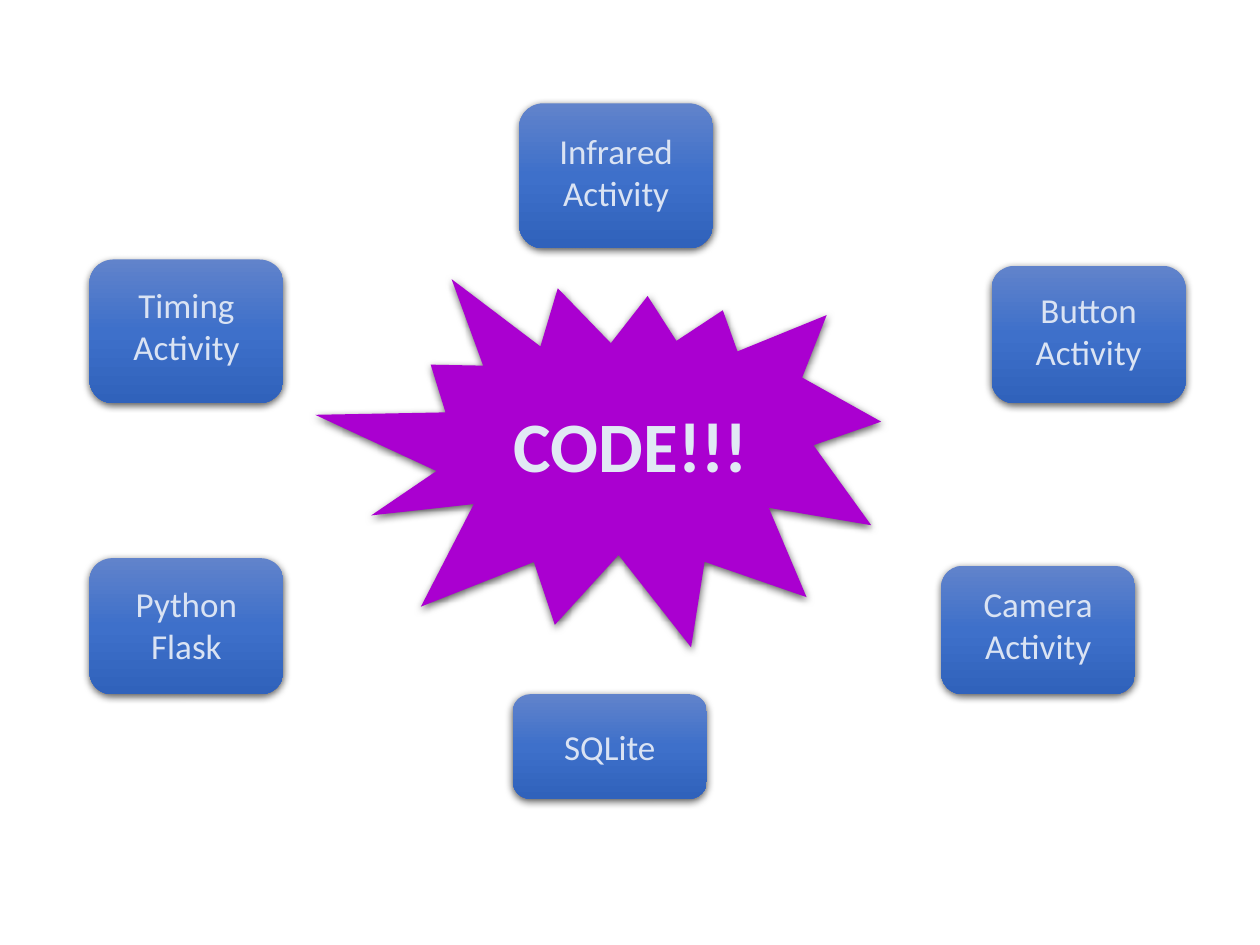
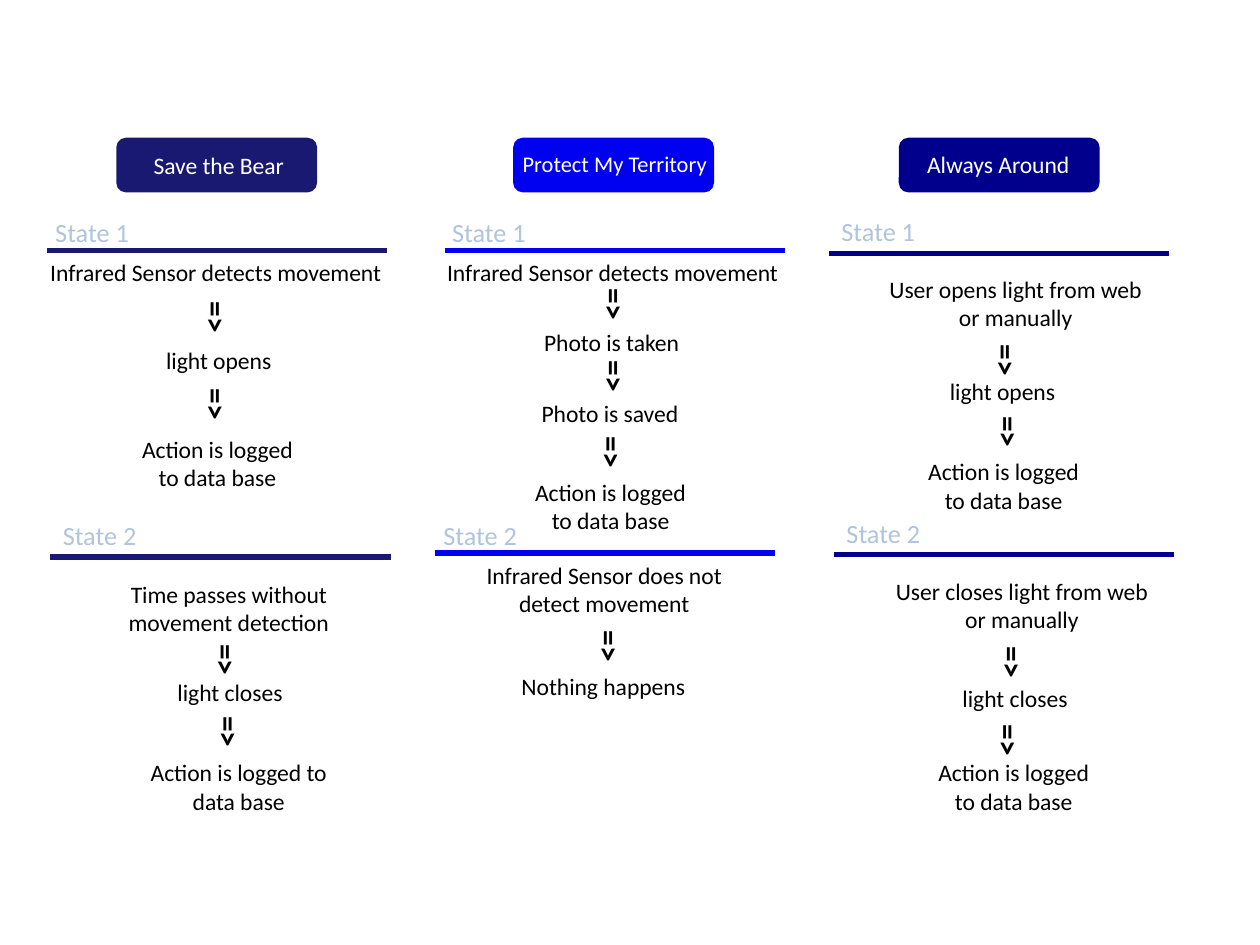
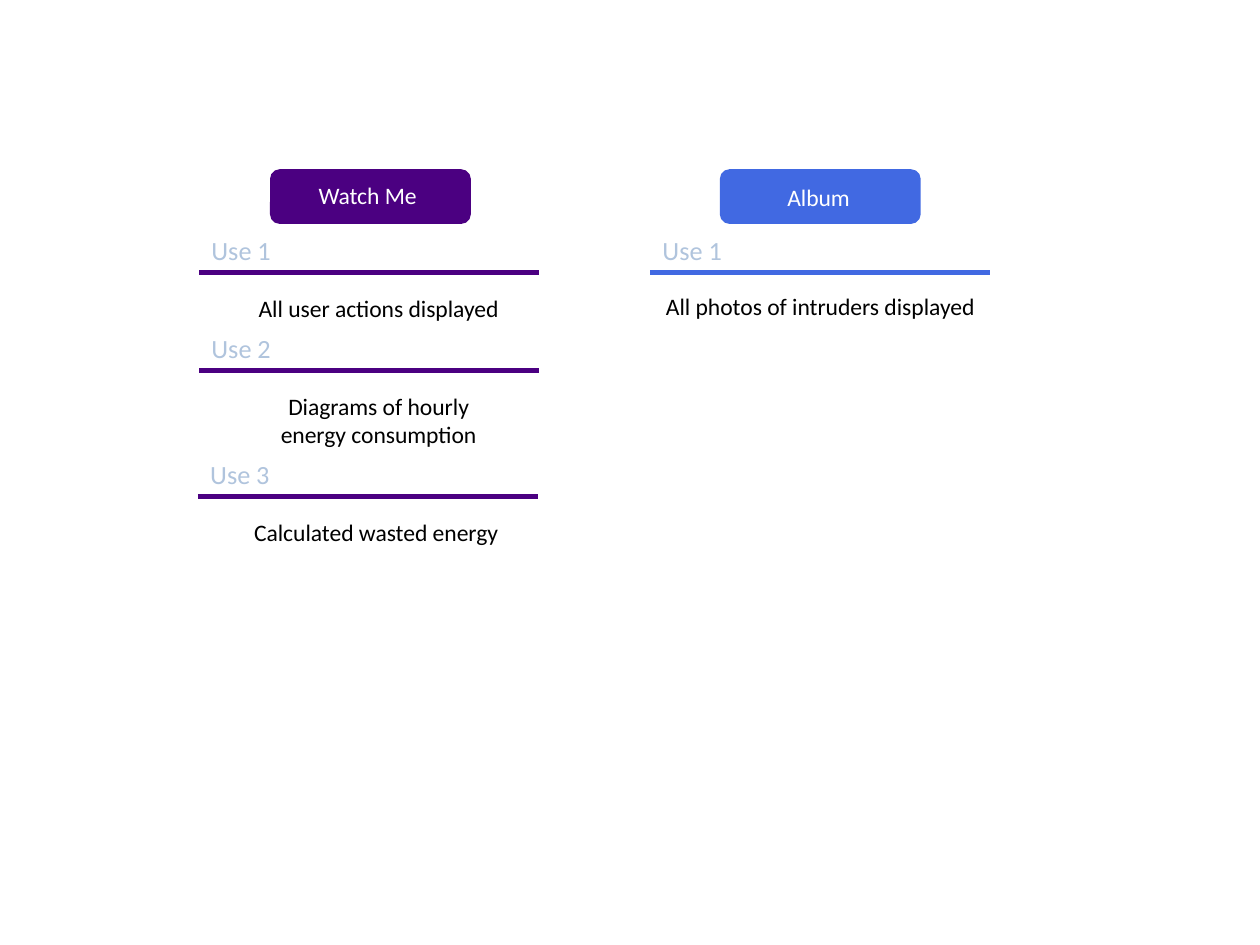
from dataclasses import dataclass, field

import lxml.etree
import pptx
import pptx.dml.color
import pptx.enum.shapes
import pptx.enum.text
import pptx.oxml
import pptx.oxml.ns
import pptx.util

Inches = pptx.util.Inches
SHAPES = pptx.enum.shapes.MSO_SHAPE
ALIGN = pptx.enum.text.PP_ALIGN

FONT = "Calibri"
BLACK, WHITE = "000000", "FFFFFF"
SECTION_COLOUR, ACTIVITY_TEXT = "B0C4DD", "DAE3F3"
BURST_FILL, BURST_TEXT = "AA00D0", "E1E9F4"
ACTIVITY_GRADIENT = ((0, "6183CB"), (50, "3E70CA"), (100, "3062BB"))

ACTIVITY_WIDTH, ACTIVITY_LABEL_WIDTH = 1.54, 1.43
HEADING_WIDTH, HEADING_HEIGHT = 1.58, 0.42
RULE_LENGTH = 2.7
ARROW_WIDTH, ARROW_HEIGHT = 0.51, 0.4
BODY_SIZE = 13.5


@dataclass(frozen=True)
class Activity:
    text: str
    left: float
    top: float
    height: float
    label_top: float
    lines: int = 2


@dataclass(frozen=True)
class Step:
    text: str
    left: float
    top: float
    width: float
    lines: int = 1
    centred: bool = False


@dataclass(frozen=True)
class Section:
    """A ruled part of a column; arrows are the (left, top) of each arrow."""
    title: str
    title_left: float
    title_top: float
    rule_left: float
    rule_top: float
    steps: tuple[Step, ...]
    arrows: tuple[tuple[float, float], ...] = ()


@dataclass(frozen=True)
class Column:
    colour: str
    left: float
    top: float
    heading: Step
    sections: tuple[Section, ...] = field(default_factory=tuple)
    heading_size: float = BODY_SIZE


ACTIVITIES = (
    Activity("Button Activity", 7.87, 2.11, 1.09, 2.24),
    Activity("Camera Activity", 7.47, 4.49, 1.02, 4.57),
    Activity("SQLite", 4.07, 5.51, 0.83, 5.71, lines=1),
    Activity("Infrared Activity", 4.12, 0.82, 1.15, 0.98),
    Activity("Timing Activity", 0.71, 2.06, 1.14, 2.2),
    Activity("Python Flask", 0.71, 4.43, 1.08, 4.57),
)


def logged(left: float, top: float, width: float = 1.51) -> Step:
    return Step("Action is logged to data base", left, top, width, 2, True)


STATE_COLUMNS = (
    Column("191971", 0.93, 1.1, Step("Save the Bear", 1.12, 1.15, 1.32), (
        Section("State 1", 0.34, 1.67, 0.37, 1.99, (
            Step("Infrared Sensor detects movement", 0.3, 2, 3.29),
            Step("light opens", 1.22, 2.7, 1.07),
            logged(0.97, 3.4),
        ), ((1.47, 2.35), (1.47, 3.04))),
        Section("State 2", 0.4, 4.07, 0.4, 4.42, (
            Step("Time passes without movement detection", 0.74, 4.55, 2.15, 2, True),
            Step("light closes", 1.31, 5.33, 1.05),
            logged(1.08, 5.97, 1.63),
        ), ((1.55, 5.07), (1.57, 5.64))),
    )),
    Column("0001F0", 4.08, 1.1, Step("Protect My Territory", 4.05, 1.14, 1.66), (
        Section("State 1", 3.49, 1.67, 3.53, 1.99, (
            Step("Infrared Sensor detects movement", 3.45, 2, 2.96),
            Step("Photo is taken", 4.22, 2.55, 1.3),
            Step("Photo is saved", 4.2, 3.12, 1.3),
            logged(4.09, 3.74),
        ), ((4.63, 2.25), (4.63, 2.82), (4.61, 3.42))),
        Section("State 2", 3.42, 4.07, 3.45, 4.39, (
            Step("Infrared Sensor does not\ndetect movement", 3.38, 4.4, 2.83, 2, True),
            Step("Nothing happens", 4.04, 5.28, 1.51),
        ), ((4.59, 4.96),)),
    ), heading_size=12.8),
    Column("01008C", 7.14, 1.1, Step("Always Around", 7.26, 1.14, 1.41), (
        Section("State 1", 6.58, 1.66, 6.58, 2.01, (
            Step("User opens light from web or manually", 6.92, 2.13, 2.28, 2, True),
            Step("light opens", 7.44, 2.94, 1.05),
            logged(7.21, 3.58),
        ), ((7.74, 2.69), (7.76, 3.26))),
        Section("State 2", 6.62, 4.06, 6.62, 4.4, (
            Step("User closes light from web or manually", 6.97, 4.53, 2.28, 2, True),
            Step("light closes", 7.54, 5.38, 1.05),
            logged(7.29, 5.97),
        ), ((7.79, 5.09), (7.76, 5.71))),
    )),
)

USE_COLUMNS = (
    Column("4B0081", 2.15, 1.35, Step("Watch Me", 2.43, 1.39, 1), (
        Section("Use 1", 1.58, 1.81, 1.58, 2.16, (
            Step("All user actions displayed", 1.93, 2.28, 2.15, 1, True),)),
        Section("Use 2", 1.58, 2.59, 1.58, 2.94, (
            Step("Diagrams of hourly energy consumption", 1.93, 3.06, 2.15, 2, True),)),
        Section("Use 3", 1.57, 3.59, 1.57, 3.94, (
            Step("Calculated wasted energy", 1.91, 4.06, 2.15, 1, True),)),
    )),
    Column("4169E2", 5.72, 1.35, Step("Album", 6.15, 1.4, 0.71), (
        Section("Use 1", 5.16, 1.81, 5.16, 2.16, (
            Step("All photos of intruders displayed", 5.07, 2.27, 2.88, 1, True),)),
    )),
)


def rgb(colour: str) -> pptx.dml.color.RGBColor:
    return pptx.dml.color.RGBColor.from_string(colour)


def add_text(slide, text: str, left: float, top: float, width: float, height: float, *,
             size: float = BODY_SIZE, colour: str = BLACK, bold: bool = False,
             centred: bool = False, rotation: float = 0) -> None:
    box = slide.shapes.add_textbox(Inches(left), Inches(top), Inches(width), Inches(height))
    box.rotation = rotation
    frame = box.text_frame
    frame.word_wrap = True
    frame.auto_size = pptx.enum.text.MSO_AUTO_SIZE.SHAPE_TO_FIT_TEXT
    frame.text = text
    for paragraph in frame.paragraphs:
        paragraph.alignment = ALIGN.CENTER if centred else ALIGN.LEFT
        font = paragraph.font
        font.name, font.size, font.bold = FONT, pptx.util.Pt(size), bold
        font.color.rgb = rgb(colour)


def add_preset(slide, preset, left: float, top: float, width: float, height: float):
    shape = slide.shapes.add_shape(
        preset, Inches(left), Inches(top), Inches(width), Inches(height))
    shape.shadow.inherit = False
    shape.line.fill.background()
    return shape


def fill_solid(shape, colour: str) -> None:
    shape.fill.solid()
    shape.fill.fore_color.rgb = rgb(colour)


def fill_gradient(shape, stops: tuple[tuple[int, str], ...]) -> None:
    """Fill from top to bottom; stops are (percent, colour)."""
    shape.fill.gradient()
    shape.fill.gradient_angle = 270
    qn = pptx.oxml.ns.qn
    stop_list = shape.element.spPr.find(".//" + qn("a:gsLst"))
    for stop in list(stop_list):
        stop_list.remove(stop)
    for percent, colour in stops:
        stop = lxml.etree.SubElement(stop_list, qn("a:gs"), pos=str(percent * 1000))
        lxml.etree.SubElement(stop, qn("a:srgbClr"), val=colour)


def drop_shadow(shape) -> None:
    effects = shape.element.spPr.find(pptx.oxml.ns.qn("a:effectLst"))
    effects.append(pptx.oxml.parse_xml(
        f'<a:outerShdw {pptx.oxml.ns.nsdecls("a")} blurRad="{pptx.util.Pt(4.5)}" '
        f'dist="{pptx.util.Pt(1.5)}" dir="5400000" rotWithShape="0">'
        f'<a:srgbClr val="{BLACK}"><a:alpha val="63000"/></a:srgbClr></a:outerShdw>'))


def add_rule(slide, left: float, top: float, colour: str) -> None:
    rule = slide.shapes.add_connector(
        pptx.enum.shapes.MSO_CONNECTOR.STRAIGHT,
        Inches(left), Inches(top), Inches(left + RULE_LENGTH), Inches(top))
    rule.line.color.rgb = rgb(colour)
    rule.line.width = pptx.util.Pt(3)
    lxml.etree.SubElement(rule.element.spPr, pptx.oxml.ns.qn("a:effectLst"))


def draw_burst(slide) -> None:
    burst = add_preset(slide, SHAPES.EXPLOSION2, 2.58, 1.87, 4.39, 3.42)
    burst.rotation = 203.9
    fill_solid(burst, BURST_FILL)
    drop_shadow(burst)
    add_text(slide, "CODE!!!", 3.98, 3.14, 2.46, 0.78,
             size=40.5, colour=BURST_TEXT, bold=True)


def draw_activity(slide, activity: Activity) -> None:
    tile = add_preset(slide, SHAPES.ROUNDED_RECTANGLE, activity.left, activity.top,
                      ACTIVITY_WIDTH, activity.height)
    fill_gradient(tile, ACTIVITY_GRADIENT)
    drop_shadow(tile)
    label_left = activity.left + (ACTIVITY_WIDTH - ACTIVITY_LABEL_WIDTH) / 2
    add_text(slide, activity.text, label_left, activity.label_top, ACTIVITY_LABEL_WIDTH,
             0.1 + 0.34 * activity.lines, size=20, colour=ACTIVITY_TEXT, centred=True)


def draw_step(slide, step: Step, size: float = BODY_SIZE, colour: str = BLACK) -> None:
    add_text(slide, step.text, step.left, step.top, step.width, 0.1 + 0.23 * step.lines,
             size=size, colour=colour, centred=step.centred)


def draw_section(slide, section: Section, colour: str) -> None:
    add_rule(slide, section.rule_left, section.rule_top, colour)
    add_text(slide, section.title, section.title_left, section.title_top, 0.97, 0.35,
             size=15, colour=SECTION_COLOUR)
    for step in section.steps:
        draw_step(slide, step)
    for left, top in section.arrows:
        add_text(slide, "=>", left, top, ARROW_WIDTH, ARROW_HEIGHT,
                 size=18, bold=True, rotation=90)


def draw_column(slide, column: Column) -> None:
    heading = add_preset(slide, SHAPES.ROUNDED_RECTANGLE, column.left, column.top,
                         HEADING_WIDTH, HEADING_HEIGHT)
    fill_solid(heading, column.colour)
    heading.line.color.rgb = rgb(column.colour)
    heading.line.width = pptx.util.Pt(1)
    draw_step(slide, column.heading, column.heading_size, WHITE)
    for section in column.sections:
        draw_section(slide, section, column.colour)


def main() -> None:
    deck = pptx.Presentation()
    deck.slide_width, deck.slide_height = Inches(10), Inches(7.5)
    blank = deck.slide_layouts[6]

    overview = deck.slides.add_slide(blank)
    draw_burst(overview)
    for activity in ACTIVITIES:
        draw_activity(overview, activity)

    for columns in (STATE_COLUMNS, USE_COLUMNS):
        slide = deck.slides.add_slide(blank)
        for column in columns:
            draw_column(slide, column)

    deck.save("out.pptx")


if __name__ == "__main__":
    main()
